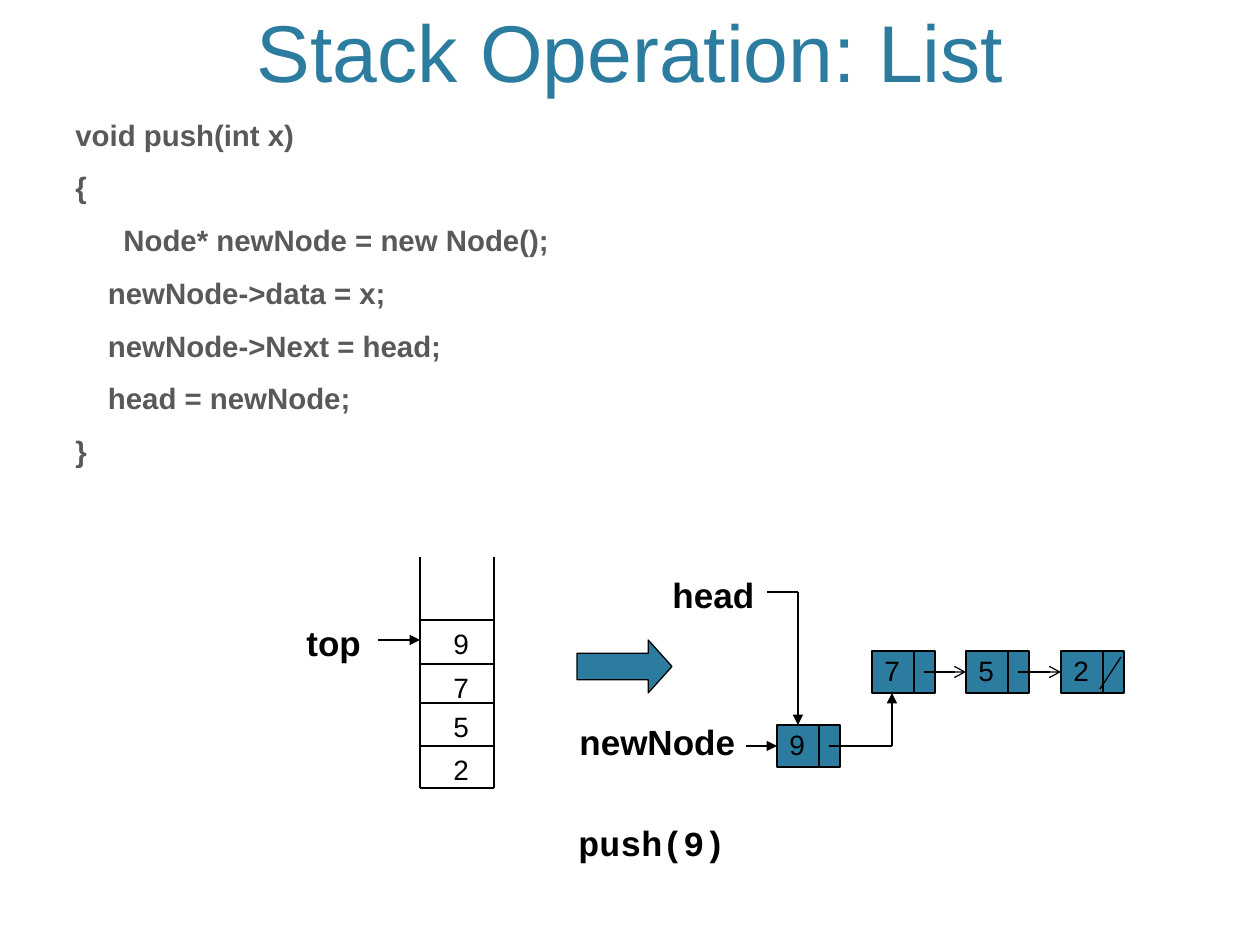
import dataclasses

import lxml.etree
import pptx
import pptx.dml.color
import pptx.enum.shapes
import pptx.enum.text
import pptx.oxml.ns
import pptx.util

EMU_PER_PX = 914400 / 126
ANCHOR = pptx.enum.text.MSO_ANCHOR
AUTO_SIZE = pptx.enum.text.MSO_AUTO_SIZE
ALIGN = pptx.enum.text.PP_ALIGN
SHAPE = pptx.enum.shapes.MSO_SHAPE


@dataclasses.dataclass(frozen=True)
class Theme:
    accent: str = "2C7C9F"
    code: str = "595959"
    ink: str = "000000"
    font: str = "Arial"
    mono: str = "Courier New"
    title_size: float = 46
    code_size: float = 16.8
    label_size: float = 20
    value_size: float = 16
    line_width: float = 0.75


THEME = Theme()

CODE = [
    "void push(int x)",
    "{",
    "\tNode* newNode = new Node();",
    "    newNode->data = x;",
    "    newNode->Next = head;",
    "    head = newNode;",
    "}",
]

STACK_LEFT, STACK_RIGHT, STACK_TOP, STACK_BOTTOM = 420, 494, 557, 788
STACK_ROWS = [("9", 620), ("7", 664), ("5", 703), ("2", 746)]
NODE_WIDTH, NODE_HEIGHT, NODE_SPLIT = 63, 42, 42
LIST_TOP = 651
LIST_NODES = [("7", 872), ("5", 966), ("2", 1061)]
NEW_LEFT, NEW_TOP = 777, 725


def px(length):
    return pptx.util.Emu(round(length * EMU_PER_PX))


def rgb(color):
    return pptx.dml.color.RGBColor.from_string(color)


def add_text(para, text, size, color, bold=False, font=THEME.font):
    span = para.add_run()
    span.text = text
    span.font.name = font
    span.font.size = pptx.util.Pt(size)
    span.font.bold = bold
    span.font.color.rgb = rgb(color)


def add_title(page, text):
    title = page.shapes.title
    title.left, title.top, title.width, title.height = map(px, (63, -21, 1134, 126))
    frame = title.text_frame
    frame.auto_size = AUTO_SIZE.NONE
    frame.vertical_anchor = ANCHOR.BOTTOM
    para = frame.paragraphs[0]
    para.alignment = ALIGN.CENTER
    add_text(para, text, THEME.title_size, THEME.accent)


def add_code(page, lines):
    box = page.shapes.add_textbox(px(63), px(126), px(1134), px(325))
    frame = box.text_frame
    frame.word_wrap = True
    for index, line in enumerate(lines):
        para = frame.add_paragraph() if index else frame.paragraphs[0]
        properties = para._p.get_or_add_pPr()
        properties.set("marL", str(px(48)))
        properties.set("indent", str(-px(48)))
        para.line_spacing = 0.5
        para.space_before = pptx.util.Pt(20 if index else 0)
        add_text(para, line, THEME.code_size, THEME.code, bold=True)


def add_box(page, text, left, top, width, height, size, wrap=False, **style):
    box = page.shapes.add_textbox(px(left), px(top), px(width), px(height))
    frame = box.text_frame
    frame.word_wrap = wrap
    frame.auto_size = AUTO_SIZE.SHAPE_TO_FIT_TEXT
    add_text(frame.paragraphs[0], text, size, THEME.ink, **style)


def add_label(page, text, left, top, width, font=THEME.font):
    add_box(page, text, left, top, width, 55, THEME.label_size, bold=True, font=font)


def add_line(page, x1, y1, x2, y2, head=None):
    line = page.shapes.add_connector(
        pptx.enum.shapes.MSO_CONNECTOR.STRAIGHT, px(x1), px(y1), px(x2), px(y2)
    )
    line.line.color.rgb = rgb(THEME.ink)
    line.line.width = pptx.util.Pt(THEME.line_width)
    if head:
        outline = line.line._get_or_add_ln()
        lxml.etree.SubElement(outline, pptx.oxml.ns.qn("a:tailEnd"), type=head)
    lxml.etree.SubElement(line._element.spPr, pptx.oxml.ns.qn("a:effectLst"))


def add_block(page, kind, left, top, width, height):
    block = page.shapes.add_shape(kind, px(left), px(top), px(width), px(height))
    block.shadow.inherit = False
    block.fill.solid()
    block.fill.fore_color.rgb = rgb(THEME.accent)
    block.line.color.rgb = rgb(THEME.ink)
    block.line.width = pptx.util.Pt(THEME.line_width)
    return block


def add_node(page, value, left, top):
    add_block(page, SHAPE.RECTANGLE, left, top, NODE_WIDTH, NODE_HEIGHT)
    split = left + NODE_SPLIT
    add_line(page, split, top, split, top + NODE_HEIGHT)
    add_box(page, value, left, top - 4, 35, 47, THEME.value_size, wrap=True)


def add_stack(page):
    for side in (STACK_LEFT, STACK_RIGHT):
        add_line(page, side, STACK_TOP, side, STACK_BOTTOM)
    add_line(page, STACK_LEFT, STACK_BOTTOM, STACK_RIGHT, STACK_BOTTOM)
    for value, top in STACK_ROWS:
        add_line(page, STACK_LEFT, top, STACK_RIGHT, top)
        add_box(page, value, 441, top, 41, 47, THEME.value_size)
    add_label(page, "top", 294, 615, 83)
    add_line(page, 378, 640, STACK_LEFT, 640, "triangle")


def add_list(page):
    middle = LIST_TOP + NODE_HEIGHT // 2
    for value, left in LIST_NODES:
        add_node(page, value, left, LIST_TOP)
    for (_, left), (_, following) in zip(LIST_NODES, LIST_NODES[1:]):
        add_line(page, left + 52, middle, following, middle, "arrow")
    last = LIST_NODES[-1][1]
    add_line(page, last + 60, LIST_TOP + 6, last + 39, LIST_TOP + 38)


def add_new_node(page):
    middle = NEW_TOP + NODE_HEIGHT // 2
    add_node(page, "9", NEW_LEFT, NEW_TOP)
    add_line(page, NEW_LEFT + 52, middle, 892, middle)
    add_line(page, 892, middle, 892, LIST_TOP + NODE_HEIGHT, "triangle")
    add_label(page, "head", 660, 567, 109)
    add_line(page, 767, 592, 798, 592)
    add_line(page, 798, 592, 798, NEW_TOP, "triangle")
    add_label(page, "newNode", 567, 714, 185)
    add_line(page, 746, middle, NEW_LEFT, middle, "triangle")


def main():
    deck = pptx.Presentation()
    deck.slide_width, deck.slide_height = px(1260), px(945)
    page = deck.slides.add_slide(deck.slide_layouts[5])
    add_title(page, "Stack Operation: List")
    add_code(page, CODE)
    add_stack(page)
    arrow = add_block(page, SHAPE.RIGHT_ARROW, 577, 640, 95, 53)
    arrow.adjustments[1] = 0.45
    add_list(page)
    add_new_node(page)
    add_label(page, "push(9)", 566, 815, 175, font=THEME.mono)
    deck.save("out.pptx")


if __name__ == "__main__":
    main()
